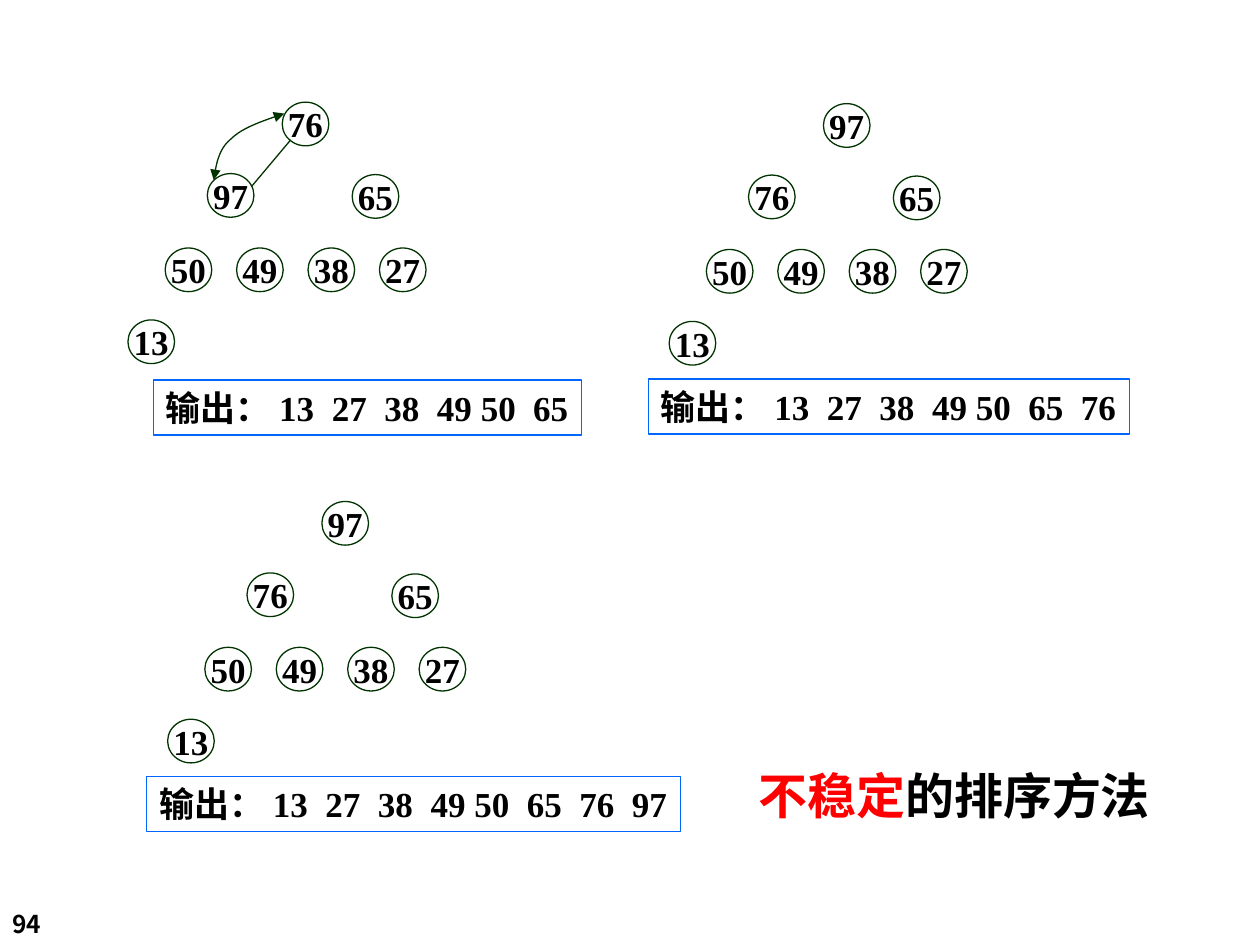
import lxml.etree
import pptx
import pptx.dml.color
import pptx.enum.shapes
import pptx.enum.text
import pptx.oxml.ns
import pptx.util

Cm = pptx.util.Cm
Pt = pptx.util.Pt
qn = pptx.oxml.ns.qn
SHAPES = pptx.enum.shapes.MSO_SHAPE
ALIGN = pptx.enum.text.PP_ALIGN
ANCHOR = pptx.enum.text.MSO_ANCHOR

BLACK = pptx.dml.color.RGBColor(0x00, 0x00, 0x00)
RED = pptx.dml.color.RGBColor(0xFF, 0x00, 0x00)
GREEN = pptx.dml.color.RGBColor(0x00, 0x33, 0x00)
BLUE = pptx.dml.color.RGBColor(0x00, 0x66, 0xFF)

SERIF = "Times New Roman"
SANS = "Noto Sans CJK SC"
NODE_WIDTH, NODE_HEIGHT = 0.94, 0.88
NODE_PLACES = [(3.11, 0), (1.6, 1.44), (4.52, 1.46)]
NODE_PLACES += [(0.75 + 1.44 * leaf, 2.94) for leaf in range(4)] + [(0, 4.39)]
TAB_STEP = 1.06
TAB_STOPS = [2.29 + TAB_STEP * stop for stop in range(4)]
TAB_STOPS += [7.41 + TAB_STEP * stop for stop in range(3)]


def write(paragraph, text, size=20, color=BLACK, latin=SERIF):
    """Append a bold run to a paragraph."""
    run = paragraph.add_run()
    run.text = text
    run.font.size = Pt(size)
    run.font.bold = True
    run.font.color.rgb = color
    run.font.name = latin
    east_asian = lxml.etree.SubElement(run.font._element, qn("a:ea"))
    east_asian.set("typeface", SANS)


def outline(shape, color):
    """Give a shape a thin line, no fill and no shadow."""
    shape.shadow.inherit = False
    shape.fill.background()
    shape.line.color.rgb = color
    shape.line.width = Pt(0.75)


def add_node(shapes, left, top, key):
    """Draw one tree node with its key."""
    node = shapes.add_shape(SHAPES.OVAL, Cm(left), Cm(top), Cm(NODE_WIDTH), Cm(NODE_HEIGHT))
    outline(node, GREEN)
    frame = node.text_frame
    frame.word_wrap = False
    frame.vertical_anchor = ANCHOR.MIDDLE
    frame.paragraphs[0].alignment = ALIGN.CENTER
    write(frame.paragraphs[0], key)


def add_output(shapes, left, top, keys):
    """Draw the box that lists the keys output so far."""
    box = shapes.add_shape(SHAPES.RECTANGLE, Cm(left), Cm(top),
                           Cm(2.28 + TAB_STEP * len(keys)), Cm(1.11))
    outline(box, BLUE)
    frame = box.text_frame
    frame.word_wrap = True
    frame.margin_right = 0
    frame.vertical_anchor = ANCHOR.TOP
    paragraph = frame.paragraphs[0]
    paragraph.alignment = ALIGN.LEFT
    tabs = lxml.etree.SubElement(paragraph._p.get_or_add_pPr(), qn("a:tabLst"))
    for position in TAB_STOPS:
        lxml.etree.SubElement(tabs, qn("a:tab"), pos=str(Cm(position)), algn="l")
    write(paragraph, "输出：\t" + "\t".join(keys).replace("49\t50", "49 50"))


def add_heap(slide, left, top, keys, output, output_offset):
    """Draw one heap state with its output box and return its group's shapes."""
    heap = slide.shapes.add_group_shape().shapes
    for (x, y), key in zip(NODE_PLACES, keys):
        add_node(heap, left + x, top + y, key)
    add_output(heap, left + output_offset[0], top + output_offset[1], output)
    return heap


def add_edge(shapes, left, top):
    """Join the root of a heap to its left child."""
    edge = shapes.add_connector(pptx.enum.shapes.MSO_CONNECTOR.STRAIGHT,
                                Cm(left + 3.28), Cm(top + 0.76), Cm(left + 2.49), Cm(top + 1.7))
    edge.line.color.rgb = GREEN
    edge.line.width = Pt(0.75)
    lxml.etree.SubElement(edge._element.spPr, qn("a:effectLst"))


def bezier(points, steps=12):
    """Return points along a cubic curve after its start."""
    curve = []
    for step in range(1, steps + 1):
        t = step / steps
        weights = ((1 - t) ** 3, 3 * t * (1 - t) ** 2, 3 * t ** 2 * (1 - t), t ** 3)
        curve.append(tuple(sum(w * p[axis] for w, p in zip(weights, points)) for axis in (0, 1)))
    return curve


def add_swap(slide, left, top):
    """Draw the double-headed curve between the root and its left child."""
    controls = [(3.15, 0.23), (2.72, 0.38), (2.31, 0.51), (2.08, 0.74),
                (1.83, 0.94), (1.78, 1.24), (1.73, 1.57)]
    placed = [(Cm(left + x), Cm(top + y)) for x, y in controls]
    builder = slide.shapes.build_freeform(*placed[0])
    builder.add_line_segments(bezier(placed[:4]) + bezier(placed[3:]), close=False)
    swap = builder.convert_to_shape()
    outline(swap, GREEN)
    for end in ("a:headEnd", "a:tailEnd"):
        lxml.etree.SubElement(swap.line._get_or_add_ln(), qn(end), type="triangle")


def add_label(slide, left, top, width, height):
    """Add an empty wrapping text box and return its paragraph."""
    label = slide.shapes.add_textbox(Cm(left), Cm(top), Cm(width), Cm(height))
    label.text_frame.word_wrap = True
    return label.text_frame.paragraphs[0]


def main():
    """Build the heap sort slide."""
    deck = pptx.Presentation()
    deck.slide_width, deck.slide_height = Cm(25.4), Cm(19.05)
    slide = deck.slides.add_slide(deck.slide_layouts[6])

    write(add_label(slide, 0, 18.21, 2.11, 0.86), "94", size=14, latin=SANS)

    before = ["76", "97", "65", "50", "49", "38", "27", "13"]
    after = ["97", "76"] + before[2:]
    ordered = sorted(before)
    first_heap = add_heap(slide, 2.58, 2.06, before, ordered[:6], (0.51, 5.6))
    add_edge(first_heap, 2.58, 2.06)
    add_swap(slide, 2.58, 2.06)
    add_heap(slide, 13.49, 2.09, after, ordered[:7], (-0.42, 5.55))
    add_heap(slide, 3.38, 10.11, after, ordered, (-0.42, 5.54))

    conclusion = add_label(slide, 15.04, 15.44, 8.69, 1.32)
    conclusion.line_spacing = 0.9
    write(conclusion, "不稳定", size=28, color=RED)
    write(conclusion, "的排序方法", size=28)

    deck.save("out.pptx")


if __name__ == "__main__":
    main()
